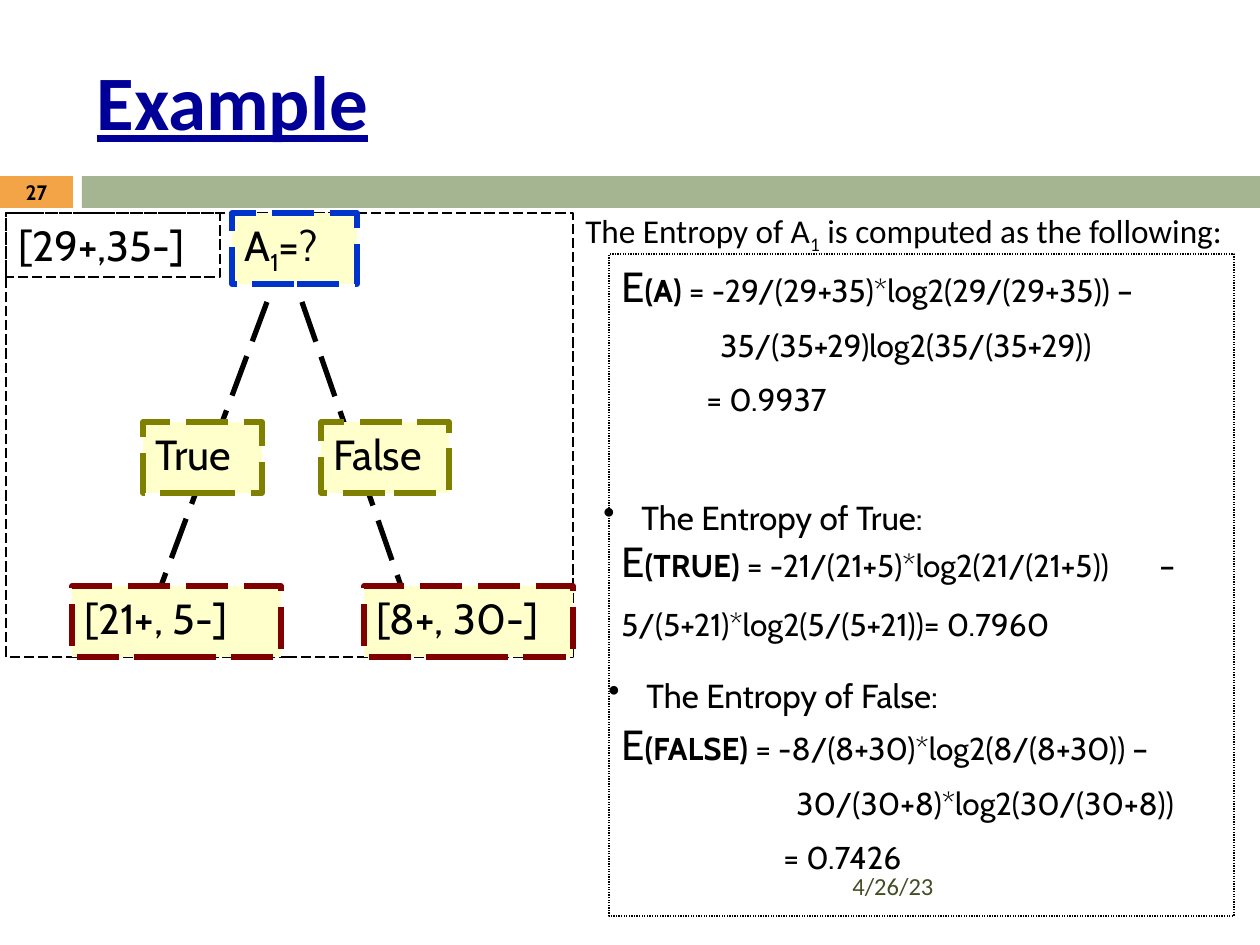
from pptx import Presentation
from pptx.dml.color import RGBColor
from pptx.enum.dml import MSO_LINE
from pptx.enum.shapes import MSO_CONNECTOR, MSO_SHAPE
from pptx.enum.text import MSO_ANCHOR, MSO_AUTO_SIZE, PP_ALIGN
from pptx.oxml.ns import qn
from pptx.util import Emu, Pt
from lxml import etree

RECT = MSO_SHAPE.RECTANGLE
STRAIGHT = MSO_CONNECTOR.STRAIGHT
DASH, DOT = MSO_LINE.LONG_DASH, MSO_LINE.ROUND_DOT
TOP, MIDDLE = MSO_ANCHOR.TOP, MSO_ANCHOR.MIDDLE
LEFT, CENTER = PP_ALIGN.LEFT, PP_ALIGN.CENTER
NO_FIT = MSO_AUTO_SIZE.NONE

BLACK, CREAM = "000000", "FFFFCC"
BLUE, OLIVE, MAROON = "0033CC", "808000", "800000"
SUB = -25000


def px(n):
    return Emu(round(n * 914400 / 126))


def rgb(code):
    return RGBColor.from_string(code)


def set_line(line, color, width, dash):
    line.color.rgb = rgb(color)
    line.width = Pt(width)
    line.dash_style = dash


def add_box(slide, box, fill=None, line=None, width=0.75, dash=DASH):
    shape = slide.shapes.add_shape(RECT, *map(px, box))
    shape.shadow.inherit = False
    if fill:
        shape.fill.solid()
        shape.fill.fore_color.rgb = rgb(fill)
    else:
        shape.fill.background()
    if line:
        set_line(shape.line, line, width, dash)
    else:
        shape.line.fill.background()
    return shape


def set_font(para, size, name="Cabin", color=BLACK, bold=False):
    font = para.font
    font.name, font.size, font.bold = name, Pt(size), bold
    font.color.rgb = rgb(color)


def write(shape, runs, size, anchor=TOP, align=LEFT, **style):
    """Fill the first paragraph; a run is text or (text, baseline)."""
    frame = shape.text_frame
    frame.word_wrap = True
    frame.auto_size = NO_FIT
    frame.vertical_anchor = anchor
    para = frame.paragraphs[0]
    para.alignment = align
    set_font(para, size, **style)
    for item in runs:
        text, base = item if isinstance(item, tuple) else (item, 0)
        run = para.add_run()
        run.text = text
        if base:
            run.font._element.set("baseline", str(base))
    return para


def add_text(slide, box, runs, size, **style):
    return write(slide.shapes.add_textbox(*map(px, box)), runs, size, **style)


def add_edge(slide, start, end):
    edge = slide.shapes.add_connector(STRAIGHT, *map(px, start + end))
    set_line(edge.line, BLACK, 3, DASH)
    etree.SubElement(edge._element.spPr, qn("a:effectLst"))


def add_bullet(slide, box, text):
    para = add_text(slide, box, [text], 19)
    props = para._p.get_or_add_pPr()
    props.set("marL", str(px(38)))
    props.set("indent", str(-px(38)))
    mark = etree.Element(qn("a:buChar"), char="•")
    props.find(qn("a:defRPr")).addprevious(mark)


def add_sums(slide, box, rows):
    """Rows are (label, text, indent in px, points before, line spacing)."""
    frame = add_box(slide, box, line=BLACK, dash=DOT).text_frame
    frame.word_wrap = True
    frame.vertical_anchor = TOP
    for i, (label, text, indent, gap, pitch) in enumerate(rows):
        para = frame.add_paragraph() if i else frame.paragraphs[0]
        para.alignment = LEFT
        para.space_before = Pt(gap)
        para.line_spacing = pitch
        set_font(para, 18)
        props = para._p.get_or_add_pPr()
        props.set("marL", str(px(indent)))
        if label:
            head = para.add_run()
            head.text = "E"
            head.font.size = Pt(24)
            name = para.add_run()
            name.text = label
            name.font.bold = True
        if "\t" in text:
            tabs = etree.Element(qn("a:tabLst"))
            etree.SubElement(tabs, qn("a:tab"), pos=str(px(538)), algn="l")
            props.find(qn("a:defRPr")).addprevious(tabs)
        para.add_run().text = text


def main():
    deck = Presentation()
    deck.slide_width, deck.slide_height = px(1260), px(945)
    slide = deck.slides.add_slide(deck.slide_layouts[5])

    # Header bars, slide number and title
    tag = add_box(slide, (0, 176, 73, 32), "F3A447")
    frame = tag.text_frame
    frame.margin_top = frame.margin_bottom = 0
    write(tag, ["27"], 11.9, anchor=MIDDLE, align=CENTER, bold=True)
    add_box(slide, (82, 176, 1178, 32), "A5B592")
    title = slide.shapes.title
    title.left, title.top, title.width, title.height = map(px, (84, 32, 1124, 136))
    para = write(title, ["Example"], 44, anchor=MIDDLE, name="Calibri",
                 color="000099", bold=True)
    para.font.underline = True

    # Decision tree: frame, edges, nodes
    add_box(slide, (6, 213, 567, 444), line=BLACK)
    for start, end in (((267, 302), (161, 586)), ((302, 302), (401, 586))):
        add_edge(slide, start, end)
    nodes = [
        (232, 213, 125, BLUE, ["A", ("1", SUB), "=?"]),
        (143, 422, 119, OLIVE, ["True"]),
        (321, 422, 128, OLIVE, ["False"]),
        (72, 586, 209, MAROON, ["[21+, 5-]"]),
        (364, 586, 209, MAROON, ["[8+, 30-]"]),
    ]
    for left, top, width, color, runs in nodes:
        node = add_box(slide, (left, top, width, 71), CREAM, color, 3)
        write(node, runs, 24)
    write(add_box(slide, (6, 213, 214, 64), line=BLACK), ["[29+,35-]"], 24)

    # Entropy sums
    add_text(slide, (573, 204, 680, 73),
             ["The Entropy of A", ("1", SUB), " is computed as the following:"],
             19, name="Calibri")
    add_sums(slide, (609, 254, 625, 662), [
        ("(A)", " = -29/(29+35)*log2(29/(29+35)) –", 0, 0, 1),
        ("", "35/(35+29)log2(35/(35+29))", 99, 9, 1),
        ("", "= 0.9937", 85, 9, 1),
        ("(TRUE)", " = -21/(21+5)*log2(21/(21+5))\t– 5/(5+21)*log2(5/(5+21))= 0.7960",
         0, 53, 1.5),
        ("(FALSE)", " = -8/(8+30)*log2(8/(8+30)) –", 0, 43, 1),
        ("", "30/(30+8)*log2(30/(30+8))", 175, 9, 1),
        ("", "= 0.7426", 162, 9, 1),
    ])
    add_bullet(slide, (591, 491, 457, 53), "The Entropy of True:")
    add_bullet(slide, (596, 669, 535, 53), "The Entropy of False:")

    # Date
    add_text(slide, (840, 861, 368, 50), ["4/26/23"], 14, anchor=MIDDLE,
             name="Calibri", color="444D26")

    deck.save("out.pptx")


if __name__ == "__main__":
    main()
